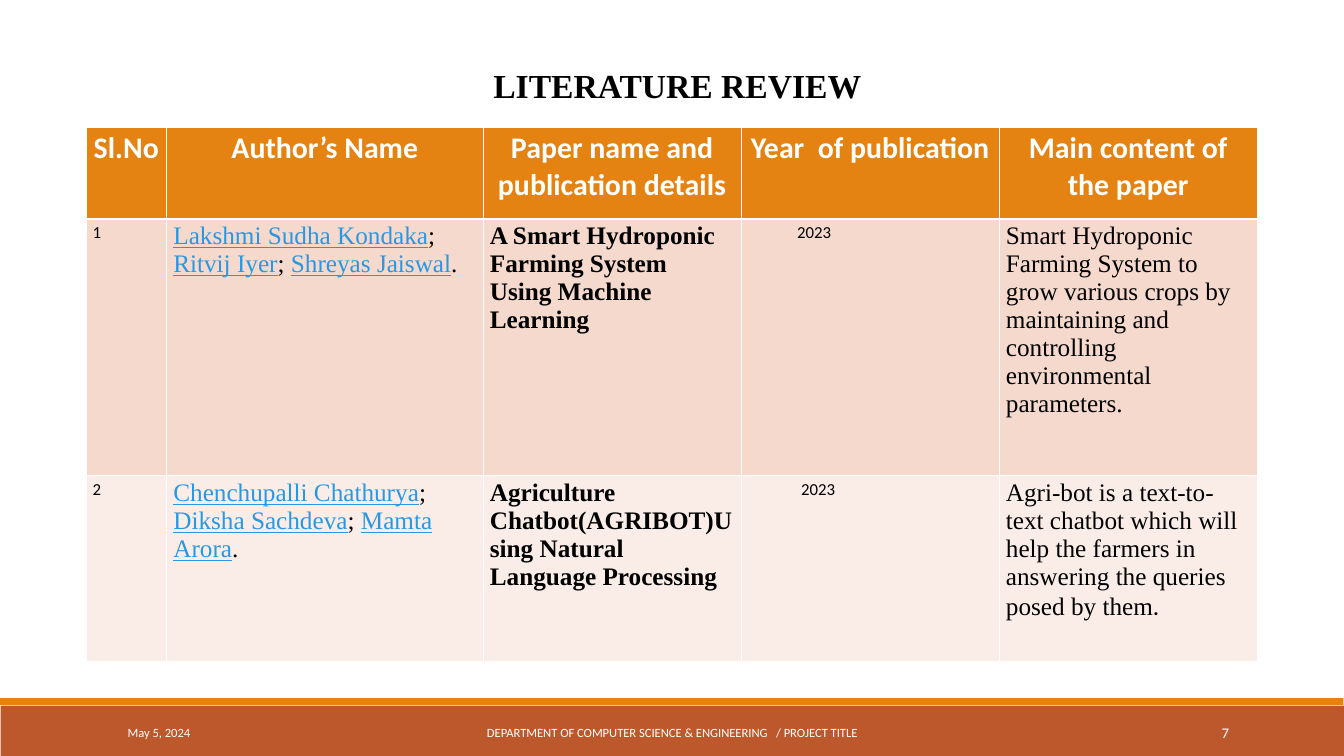
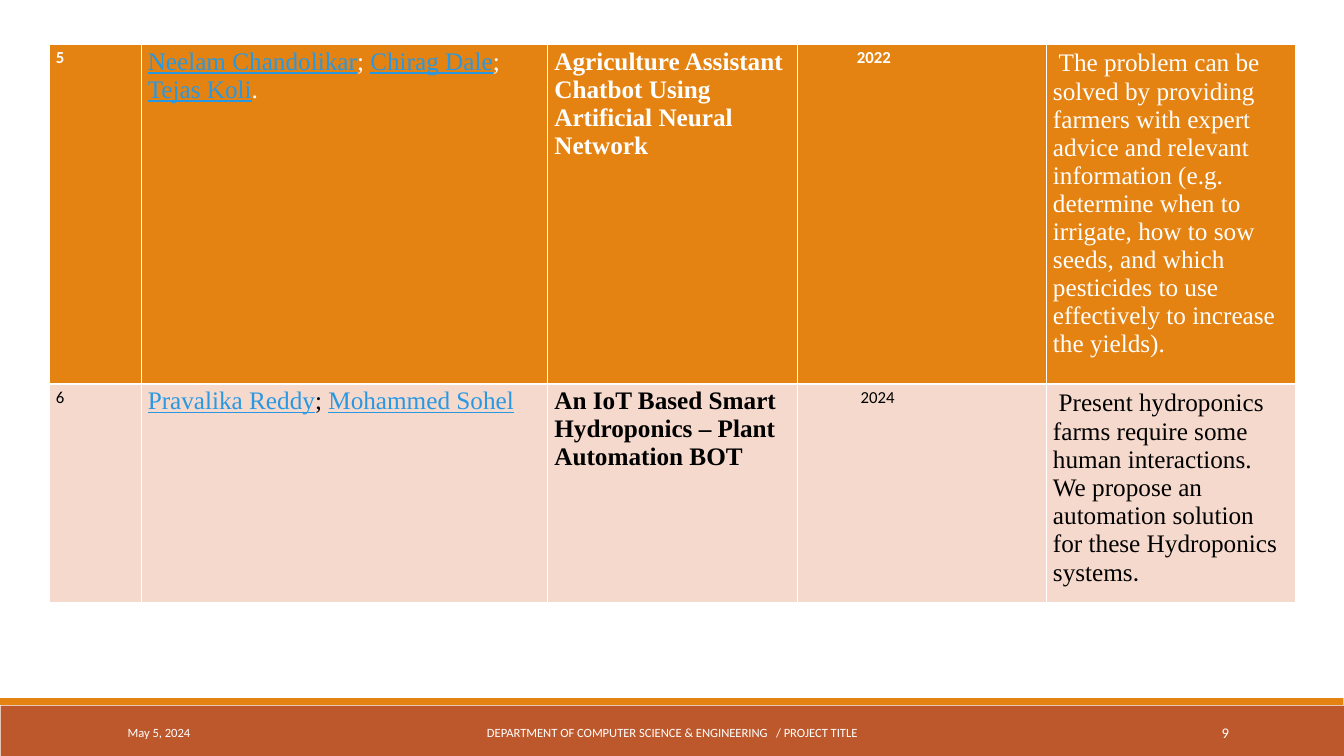
import pptx
import pptx.dml.color
import pptx.enum.shapes
import pptx.enum.text
import pptx.oxml
import pptx.oxml.ns
import pptx.util
from pptx.util import Inches

# Shared style
ORANGE, RUST = "E48312", "BD582C"
PEACH, PALE_PEACH = "F5D9CC", "FAEDE7"
WHITE, BLACK, LINK_BLUE = "FFFFFF", "000000", "2998E3"
SANS, SERIF = "Calibri", "Times New Roman"
ALIGN = pptx.enum.text.PP_ALIGN
ANCHOR = pptx.enum.text.MSO_ANCHOR
TITLE_ONLY, BLANK = 5, 6
SPACE_WIDTH = 0.0565  # one 18 pt Calibri space, in inches

HEADINGS = ["Sl.No", "Author’s Name", "Paper name and publication details",
            "Year  of publication", "Main content of the paper"]


def color(hex_code):
    return pptx.dml.color.RGBColor.from_string(hex_code)


def add_run(paragraph, text, size, font=SANS, ink=BLACK, bold=False, underline=False):
    run = paragraph.add_run()
    run.text = text
    run.font.size = pptx.util.Pt(size)
    run.font.name = font
    run.font.bold = bold
    run.font.underline = underline
    run.font.color.rgb = color(ink)


# Footer
def add_band(slide, left, top, width, height, fill):
    band = slide.shapes.add_shape(pptx.enum.shapes.MSO_SHAPE.RECTANGLE, Inches(left),
                                  Inches(top), Inches(width), Inches(height))
    band.shadow.inherit = False
    band.fill.solid()
    band.fill.fore_color.rgb = color(fill)
    band.line.fill.background()


def add_footer_text(slide, left, width, text, size, align):
    box = slide.shapes.add_textbox(Inches(left), Inches(10.6), Inches(width), Inches(0.6))
    frame = box.text_frame
    frame.word_wrap = True
    frame.vertical_anchor = ANCHOR.MIDDLE
    frame.paragraphs[0].alignment = align
    add_run(frame.paragraphs[0], text, size, ink=WHITE)


def add_footer(slide, page):
    add_band(slide, 0.01, 10.5, 19.99, 0.75, RUST)
    add_band(slide, 0, 10.39, 19.99, 0.1, ORANGE)
    add_footer_text(slide, 1.8, 4.06, "May 5, 2024", 13.5, ALIGN.LEFT)
    add_footer_text(slide, 6.05, 7.91,
                    "DEPARTMENT OF COMPUTER SCIENCE & ENGINEERING   / PROJECT TITLE",
                    13.5, ALIGN.CENTER)
    add_footer_text(slide, 16.24, 2.15, page, 15.8, ALIGN.RIGHT)


def set_title(slide, text):
    title = slide.shapes.title
    title.left, title.top = Inches(0.61), Inches(0.61)
    title.width, title.height = Inches(18.44), Inches(0.9)
    frame = title.text_frame
    frame.word_wrap = True
    frame.auto_size = pptx.enum.text.MSO_AUTO_SIZE.NONE
    frame.vertical_anchor = ANCHOR.TOP
    paragraph = frame.paragraphs[0]
    paragraph.alignment = ALIGN.CENTER
    paragraph.line_spacing = 1.5
    paragraph.space_before = pptx.util.Pt(0)
    properties = paragraph._p.get_or_add_pPr()
    properties.set("marL", str(Inches(0.5)))
    properties.set("indent", "0")
    add_run(paragraph, text, 36, SERIF, bold=True)


# Table
def style_cell(cell, fill, top, bottom):
    properties = cell._tc.get_or_add_tcPr()
    for side, points in (("L", 1), ("R", 1), ("T", top), ("B", bottom)):
        properties.append(pptx.oxml.parse_xml(
            f'<a:ln{side} {pptx.oxml.ns.nsdecls("a")} w="{pptx.util.Pt(points)}">'
            f'<a:solidFill><a:srgbClr val="{WHITE}"/></a:solidFill></a:ln{side}>'))
    cell.fill.solid()
    cell.fill.fore_color.rgb = color(fill)


def add_review_table(slide, left, top, widths, heights, fills):
    """Add the table; its first row is set off by a thicker rule."""
    frame = slide.shapes.add_table(len(heights), len(widths), Inches(left), Inches(top),
                                   Inches(sum(widths)), Inches(sum(heights)))
    table = frame.table
    table.horz_banding = False
    for column, width in zip(table.columns, widths):
        column.width = Inches(width)
    for index, (row, height, fill) in enumerate(zip(table.rows, heights, fills)):
        row.height = Inches(height)
        for cell in row.cells:
            style_cell(cell, fill, top=3 if index == 1 else 1, bottom=3 if index == 0 else 1)
    return table


def fill_headings(row):
    for cell, heading in zip(row.cells, HEADINGS):
        paragraph = cell.text_frame.paragraphs[0]
        paragraph.alignment = ALIGN.CENTER
        add_run(paragraph, heading, 32, ink=WHITE, bold=True)


def fill_paper(row, number, authors, paper, year, year_offset, content,
               ink=BLACK, bold=False, author_end=".", content_runs_font=SERIF):
    """Write one reviewed paper; year_offset counts spaces before the year."""
    number_p, authors_p, paper_p, year_p, content_p = (
        cell.text_frame.paragraphs[0] for cell in row.cells)
    add_run(number_p, number, 18, ink=ink, bold=bold)
    for index, author in enumerate(authors):
        if index:
            add_run(authors_p, "; ", 27, SERIF, ink)
        add_run(authors_p, author, 27, SERIF, LINK_BLUE, underline=True)
    if author_end:
        add_run(authors_p, author_end, 27, SERIF, ink)
    add_run(paper_p, paper, 27, SERIF, ink, bold=True)
    row.cells[3].margin_left = Inches(0.1 + year_offset * SPACE_WIDTH)
    add_run(year_p, year, 18, ink=ink, bold=bold)
    for text, font in content:
        add_run(content_p, text, 27, font, ink)


def build_review_start(deck):
    slide = deck.slides.add_slide(deck.slide_layouts[TITLE_ONLY])
    add_footer(slide, "7")
    set_title(slide, "LITERATURE REVIEW")
    table = add_review_table(slide, 1.28, 1.89, [1.2, 4.71] + [3.84] * 3,
                             [1.37, 3.82, 2.76], [ORANGE, PEACH, PALE_PEACH])
    fill_headings(table.rows[0])
    fill_paper(table.rows[1], "1", ["Lakshmi Sudha Kondaka", "Ritvij Iyer", "Shreyas Jaiswal"],
               "A Smart Hydroponic Farming System Using Machine Learning", "2023", 13,
               [("Smart Hydroponic Farming System to grow various crops by maintaining and "
                 "controlling environmental parameters.", SERIF)])
    fill_paper(table.rows[2], "2", ["Chenchupalli Chathurya", "Diksha Sachdeva", "Mamta Arora"],
               "Agriculture Chatbot(AGRIBOT)Using Natural Language Processing", "2023", 14,
               [("Agri-bot is a text-to-text chatbot which will help the farmers in answering "
                 "the queries posed by them", SERIF), (".", SANS)])


def build_review_end(deck):
    slide = deck.slides.add_slide(deck.slide_layouts[BLANK])
    add_footer(slide, "9")
    table = add_review_table(slide, 0.73, 0.66, [1.37, 6.05] + [3.71] * 3,
                             [5.05, 3.25], [ORANGE, PEACH])
    fill_paper(table.rows[0], "5", ["Neelam Chandolikar", "Chirag Dale", "Tejas Koli"],
               "Agriculture Assistant Chatbot Using Artificial Neural Network", "2022", 14,
               [(" ", SANS),
                ("The problem can be solved by providing farmers with expert advice and "
                 "relevant information (e.g. determine when to irrigate, how to sow seeds, "
                 "and which pesticides to use effectively to increase the yields).", SERIF)],
               ink=WHITE, bold=True)
    fill_paper(table.rows[1], "6", ["Pravalika Reddy", "Mohammed Sohel"],
               "An IoT Based Smart Hydroponics – Plant Automation BOT", "2024", 15,
               [(" ", SANS),
                ("Present hydroponics farms require some human interactions. We propose an "
                 "automation solution for these Hydroponics systems", SERIF), (".", SANS)],
               author_end="")


def main():
    deck = pptx.Presentation()
    deck.slide_width, deck.slide_height = Inches(20), Inches(11.25)
    build_review_start(deck)
    build_review_end(deck)
    deck.save("out.pptx")


if __name__ == "__main__":
    main()
